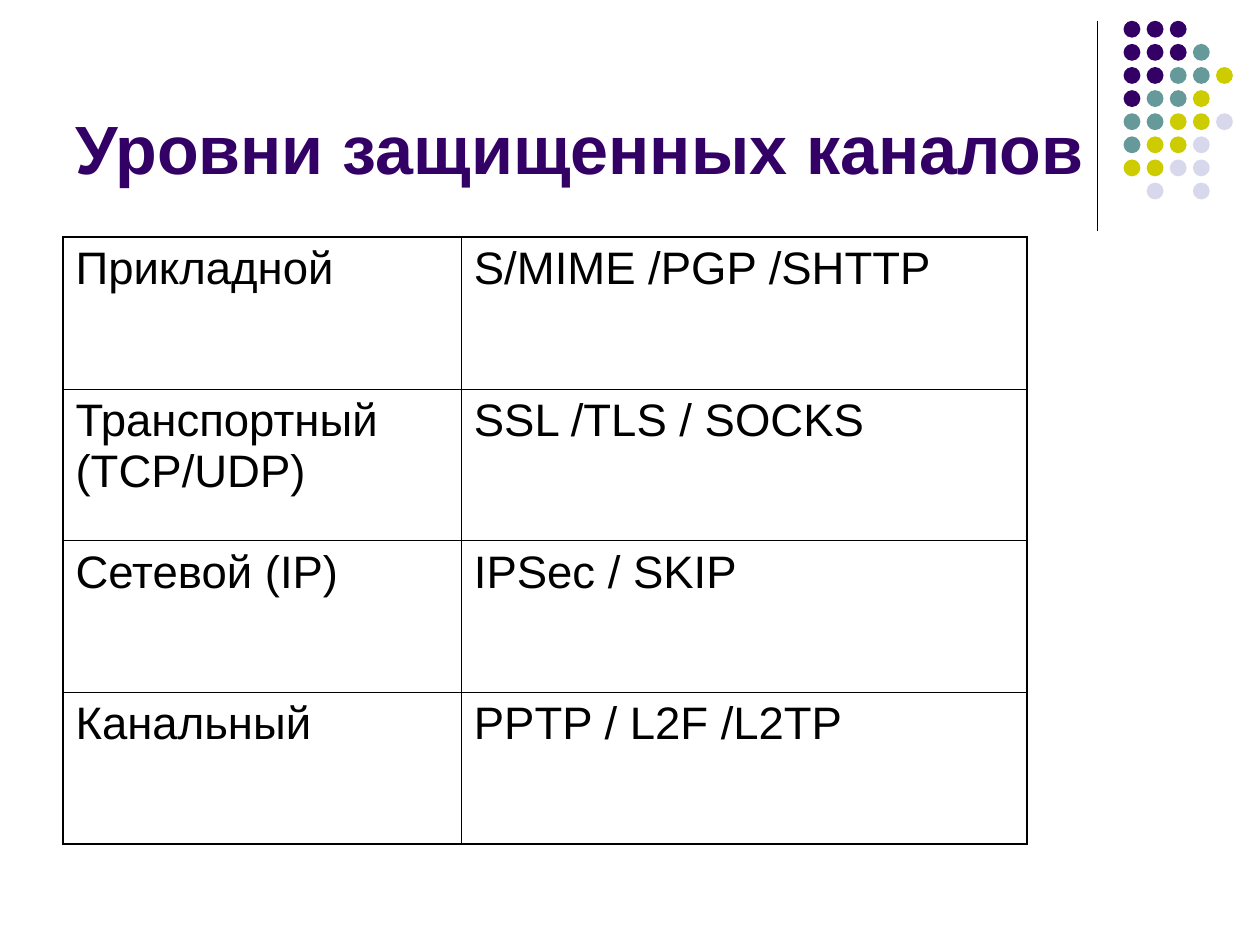
from lxml.etree import SubElement
from pptx import Presentation
from pptx.dml.color import RGBColor
from pptx.enum.shapes import MSO_CONNECTOR, MSO_SHAPE
from pptx.enum.text import MSO_ANCHOR, PP_ALIGN
from pptx.oxml.ns import qn
from pptx.util import Cm, Pt

TITLE = "Уровни защищенных каналов"
LEVELS = [
    ("Прикладной", "S/MIME /PGP /SHTTP"),
    ("Транспортный (TCP/UDP)", "SSL /TLS / SOCKS"),
    ("Сетевой (IP)", "IPSec / SKIP"),
    ("Канальный", "PPTP / L2F /L2TP"),
]
COL_WIDTHS = [8.03, 11.4]
ROW_HEIGHT = 3.06

# One letter per dot: purple, teal, olive, lavender
DOT_COLORS = {"p": "330066", "t": "669999", "o": "CCCC00", "l": "D8D8EC"}
DOT_ROWS = ["ppp", "pppt", "pptto", "ptto", "ttool", "tool", "ooll", " l l"]
DOT_LEFT, DOT_TOP, DOT_SIZE, DOT_STEP = 22.65, 0.42, 0.34, 0.466

OUTER, INNER = Pt(1.08), Pt(0.45)


def rgb(value):
    return RGBColor.from_string(value)


def style_text(p, size, color, bold=False):
    p.alignment = PP_ALIGN.LEFT
    for r in p.runs:
        r.font.name = "Arial"
        r.font.size = Pt(size)
        r.font.bold = bold
        r.font.color.rgb = rgb(color)


def set_borders(cell, widths):
    """Draw black borders; widths are given as left, right, top, bottom."""
    tc_pr = cell._tc.get_or_add_tcPr()
    for side, width in zip("LRTB", widths):
        ln = SubElement(tc_pr, qn(f"a:ln{side}"), w=str(int(width)))
        fill = SubElement(ln, qn("a:solidFill"))
        SubElement(fill, qn("a:srgbClr"), val="000000")


def add_dots(s):
    for row, letters in enumerate(DOT_ROWS):
        for col, letter in enumerate(letters):
            if letter == " ":
                continue
            dot = s.shapes.add_shape(
                MSO_SHAPE.OVAL,
                Cm(DOT_LEFT + col * DOT_STEP), Cm(DOT_TOP + row * DOT_STEP),
                Cm(DOT_SIZE), Cm(DOT_SIZE))
            dot.shadow.inherit = False
            dot.fill.solid()
            dot.fill.fore_color.rgb = rgb(DOT_COLORS[letter])
            dot.line.fill.background()


def add_divider(s):
    line = s.shapes.add_connector(
        MSO_CONNECTOR.STRAIGHT, Cm(22.12), Cm(0.42), Cm(22.12), Cm(4.66))
    line.line.color.rgb = rgb("000000")
    line.line.width = Pt(0.75)
    SubElement(line._element.spPr, qn("a:effectLst"))


def add_title(s):
    title = s.shapes.title
    title.left, title.top = Cm(1.27), Cm(0.33)
    title.width, title.height = Cm(20.96), Cm(3.6)
    tf = title.text_frame
    tf.text = TITLE
    tf.word_wrap = True
    tf.vertical_anchor = MSO_ANCHOR.BOTTOM
    tf.margin_right = 0
    style_text(tf.paragraphs[0], 39, "330066", bold=True)


def add_levels(s):
    n_rows, n_cols = len(LEVELS), len(COL_WIDTHS)
    table = s.shapes.add_table(
        n_rows, n_cols, Cm(1.27), Cm(4.78),
        Cm(sum(COL_WIDTHS)), Cm(n_rows * ROW_HEIGHT)).table
    table.first_row = table.horz_banding = False
    for column, width in zip(table.columns, COL_WIDTHS):
        column.width = Cm(width)
    for i, texts in enumerate(LEVELS):
        table.rows[i].height = Cm(ROW_HEIGHT)
        for j, text in enumerate(texts):
            cell = table.cell(i, j)
            cell.text = text
            style_text(cell.text_frame.paragraphs[0], 26, "000000")
            on_edge = (j == 0, j == n_cols - 1, i == 0, i == n_rows - 1)
            set_borders(cell, [OUTER if edge else INNER for edge in on_edge])
            cell.fill.background()


def main():
    prs = Presentation()
    prs.slide_width, prs.slide_height = Cm(25.4), Cm(19.05)
    s = prs.slides.add_slide(prs.slide_layouts[5])
    add_divider(s)
    add_dots(s)
    add_title(s)
    add_levels(s)
    prs.save("out.pptx")


if __name__ == "__main__":
    main()
